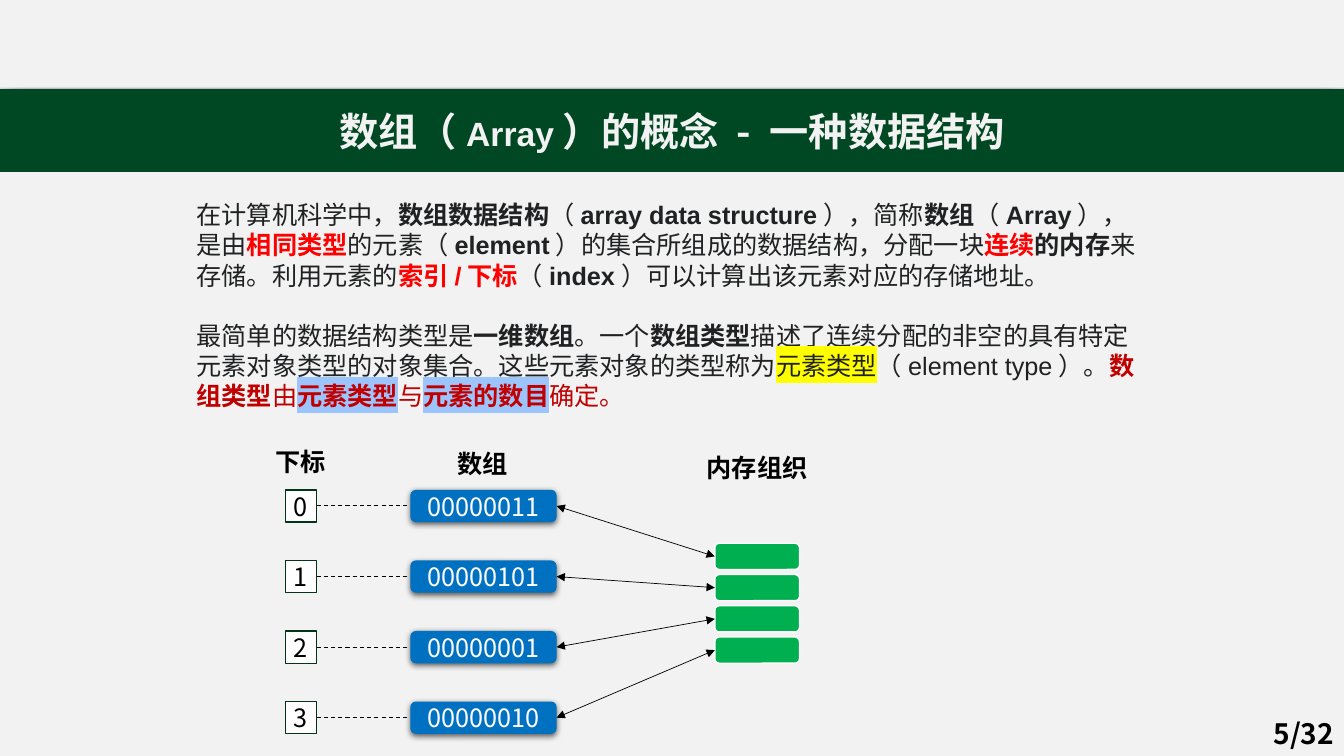
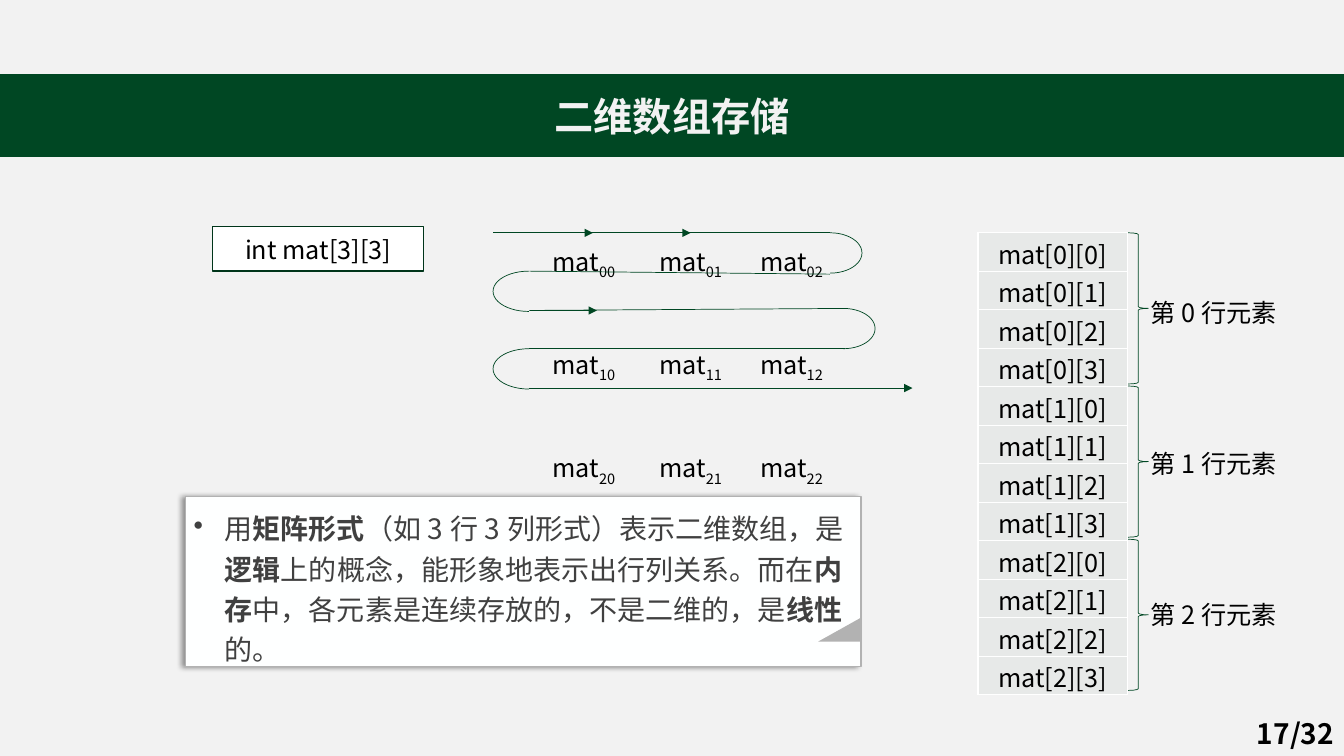
import dataclasses
import typing

import lxml.etree
import pptx
import pptx.dml.color
import pptx.enum.dml
import pptx.enum.shapes
import pptx.enum.text
import pptx.oxml.ns
import pptx.util

Inches = pptx.util.Inches
Pt = pptx.util.Pt
qn = pptx.oxml.ns.qn
Kind = pptx.enum.shapes.MSO_SHAPE
Align = pptx.enum.text.PP_ALIGN
Anchor = pptx.enum.text.MSO_ANCHOR


@dataclasses.dataclass(frozen=True)
class Theme:
    cjk: str = "Noto Sans CJK SC"
    latin: str = "Arial"
    paper: str = "F2F2F2"
    white: str = "FFFFFF"
    black: str = "000000"
    green: str = "004723"
    outline: str = "00351A"
    body: str = "202122"
    red: str = "FF0000"
    crimson: str = "C00000"
    yellow: str = "FFFF00"
    sky: str = "9CC5FD"
    blue: str = "0070C0"
    memory: str = "00B050"
    note: str = "FEFFFF"
    note_text: str = "404040"
    grey: str = "B2B2B2"
    cell: str = "E7E9E8"
    title_size: float = 28
    title_latin_size: float = 24
    large_size: float = 20
    text_size: float = 18


THEME = Theme()
BOLD = {"bold": True}
KEY = {"bold": True, "colour": THEME.red}
CLAIM = {"colour": THEME.crimson}
STRONG_CLAIM = {"bold": True, "colour": THEME.crimson}
MARKED_CLAIM = {"bold": True, "colour": THEME.crimson, "highlight": THEME.sky}


def rgb(value):
    return pptx.dml.color.RGBColor.from_string(value)


def apply(target, values):
    for name, value in values.items():
        setattr(target, name, value)


def equal_margins(value):
    return dict.fromkeys(("margin_left", "margin_top", "margin_right", "margin_bottom"), Inches(value))


def add_xml(parent, tag, **attributes):
    return lxml.etree.SubElement(parent, qn(tag), {k: str(v) for k, v in attributes.items()})


@dataclasses.dataclass
class Deck:
    presentation: typing.Any
    theme: Theme = THEME
    slide: typing.Any = None

    def setup(self):
        apply(self.presentation, {"slide_width": Inches(13.33), "slide_height": Inches(7.5)})
        fill = self.presentation.slide_master.background.fill
        fill.solid()
        fill.fore_color.rgb = rgb(self.theme.paper)

    def add_slide(self, title, top, page):
        theme = self.theme
        self.slide = self.presentation.slides.add_slide(self.presentation.slide_layouts[5])
        shape = self.slide.shapes.title
        apply(shape, {"left": 0, "top": Inches(top), "width": Inches(13.33), "height": Inches(0.81)})
        self.paint(shape, theme.green, theme.green, 1)
        self.fill_text(shape.text_frame, [title],
                       {"size": theme.title_size, "colour": theme.paper, "bold": True},
                       {"alignment": Align.CENTER}, {"vertical_anchor": Anchor.MIDDLE})
        self.text((10.33, 7.07, 3, 0.4), [[page]], {"bold": True, "size": theme.large_size},
                  {"alignment": Align.RIGHT}, {"vertical_anchor": Anchor.MIDDLE})

    def paint(self, shape, fill=None, line=None, width=1, shadow=None):
        if fill:
            shape.fill.solid()
            shape.fill.fore_color.rgb = rgb(fill)
        else:
            shape.fill.background()
        if line:
            shape.line.color.rgb = rgb(line)
            shape.line.width = Pt(width)
        else:
            shape.line.fill.background()
        shape.shadow.inherit = False
        if shadow:
            opacity, blur, distance, angle = shadow
            effects = shape.element.spPr.find(qn("a:effectLst"))
            outer = add_xml(effects, "a:outerShdw", blurRad=Pt(blur), dist=Pt(distance),
                            dir=angle * 60000, rotWithShape=0)
            colour = add_xml(outer, "a:srgbClr", val=self.theme.black)
            add_xml(colour, "a:alpha", val=opacity * 1000)

    def fill_text(self, frame, paragraphs, style=None, layout=None, box=None, tabs=(), bullet=None):
        apply(frame, {"word_wrap": True, "auto_size": pptx.enum.text.MSO_AUTO_SIZE.NONE, **(box or {})})
        for number, runs in enumerate(paragraphs):
            paragraph = frame.add_paragraph() if number else frame.paragraphs[0]
            properties = paragraph._p.get_or_add_pPr()
            if bullet:
                character, indent = bullet
                properties.set("marL", str(Inches(indent)))
                properties.set("indent", str(-Inches(indent)))
                add_xml(properties, "a:buChar", char=character)
            if tabs:
                tab_list = add_xml(properties, "a:tabLst")
                for tab in tabs:
                    add_xml(tab_list, "a:tab", pos=Inches(tab), algn="l")
            for name, value in (layout or {}).items():
                if number or name != "space_before":
                    setattr(paragraph, name, value)
            for item in runs:
                words, extra = (item, {}) if isinstance(item, str) else item
                self.add_run(paragraph, words, {**(style or {}), **extra})

    def add_run(self, paragraph, words, style):
        theme = self.theme
        run = paragraph.add_run()
        run.text = words
        run.font.color.rgb = rgb(style.get("colour", theme.black))
        apply(run.font, {"size": Pt(style.get("size", theme.text_size)), "bold": style.get("bold", False),
                         "name": style.get("font", theme.cjk)})
        properties = run._r.get_or_add_rPr()
        latin = properties.find(qn("a:latin"))
        latin.addnext(add_xml(properties, "a:ea", typeface=theme.cjk))
        if "highlight" in style:
            highlight = add_xml(properties, "a:highlight")
            add_xml(highlight, "a:srgbClr", val=style["highlight"])
            latin.addprevious(highlight)
        if "baseline" in style:
            properties.set("baseline", str(style["baseline"]))

    def text(self, place, paragraphs, style=None, layout=None, box=None, tabs=()):
        shape = self.slide.shapes.add_textbox(*map(Inches, place))
        self.fill_text(shape.text_frame, paragraphs, style, layout, box, tabs)

    def shape(self, kind, place, fill=None, line=None, width=1, shadow=None, turn=0):
        shape = self.slide.shapes.add_shape(kind, *map(Inches, place))
        self.paint(shape, fill, line, width, shadow)
        shape.rotation = turn
        return shape

    def box(self, words, kind, place, colour, **look):
        shape = self.shape(kind, place, **look)
        self.fill_text(shape.text_frame, [[words]], {"colour": colour}, {"alignment": Align.CENTER},
                       {"vertical_anchor": Anchor.MIDDLE, **equal_margins(0)})
        return shape

    def line(self, start, end, colour, width=0.5, dash=None, ends=()):
        connector = self.slide.shapes.add_connector(
            pptx.enum.shapes.MSO_CONNECTOR.STRAIGHT, *map(Inches, (*start, *end)))
        connector.line.color.rgb = rgb(colour)
        apply(connector.line, {"width": Pt(width), "dash_style": dash})
        properties = connector.element.spPr
        for end_tag in ends:
            add_xml(properties.find(qn("a:ln")), end_tag, type="triangle")
        add_xml(properties, "a:effectLst")
        return connector

    def link(self, left_shape, right_shape, **look):
        connector = self.line((0, 0), (1, 1), self.theme.black, **look)
        connector.begin_connect(left_shape, 3)
        connector.end_connect(right_shape, 1)

    def half_turn(self, place, side):
        arc = self.shape(Kind.ARC, place, line=self.theme.green, width=0.5)
        angles = (162, 54) if side == "right" else (54, 162)
        for index, angle in enumerate(angles):
            arc.adjustments[index] = angle

    def table(self, place, rows):
        table = self.slide.shapes.add_table(len(rows), 1, *map(Inches, place)).table
        apply(table, {"first_row": False, "horz_banding": False})
        for index, words in enumerate(rows):
            cell = table.cell(index, 0)
            properties = cell._tc.get_or_add_tcPr()
            for tag in ("a:lnL", "a:lnR", "a:lnT", "a:lnB"):
                border = add_xml(properties, tag, w=Pt(1))
                add_xml(add_xml(border, "a:solidFill"), "a:srgbClr", val=self.theme.white)
            cell.fill.solid()
            cell.fill.fore_color.rgb = rgb(self.theme.cell)
            apply(cell, {"margin_top": Inches(0.02), "margin_bottom": 0, "vertical_anchor": Anchor.MIDDLE})
            self.fill_text(cell.text_frame, [[words]], layout={"alignment": Align.CENTER})


def array_concept(deck):
    theme = deck.theme
    title = ["数组（", ("Array", {"font": theme.latin, "size": theme.title_latin_size}), "）的概念 - 一种数据结构"]
    deck.add_slide(title, 0.89, "5/32")
    strip = deck.shape(Kind.RECTANGLE, (0, 0, 13.33, 0.87), theme.paper, shadow=(29, 18, 4, 90))
    deck.slide.shapes.title.element.addprevious(strip.element)
    definition = [
        "在计算机科学中，", ("数组数据结构", BOLD), "（", ("array data structure", BOLD), "），简称",
        ("数组", BOLD), "（", ("Array", BOLD), "），是由", ("相同类型", KEY), "的元素（", ("element", BOLD),
        "）的集合所组成的数据结构，分配一块", ("连续", KEY), ("的内存", BOLD), "来存储。利用元素的",
        ("索引/下标", KEY), "（", ("index", BOLD), "）可以计算出该元素对应的存储地址。"]
    element_type = [
        "最简单的数据结构类型是", ("一维数组", BOLD), "。一个", ("数组类型", BOLD),
        "描述了连续分配的非空的具有特定元素对象类型的对象集合。这些元素对象的类型称为",
        ("元素类型", {"highlight": theme.yellow}), "（element type）。", ("数组类型", STRONG_CLAIM), ("由", CLAIM),
        ("元素类型", MARKED_CLAIM), ("与", CLAIM), ("元素的数目", MARKED_CLAIM), ("确定。", CLAIM)]
    deck.text((1.85, 1.93, 9.64, 2.22), [definition, element_type],
              {"font": theme.latin, "colour": theme.body}, {"space_before": Pt(21.5)})
    for words, left, top, width in (("下标", 2.63, 4.38, 0.71), ("数组", 4.44, 4.4, 0.71),
                                    ("内存组织", 6.91, 4.44, 1.21)):
        deck.text((left, top, width, 0.4), [[words]], BOLD, box={"word_wrap": False})
    for row, bits in enumerate(("00000011", "00000101", "00000001", "00000010")):
        top = 4.86 + 0.7 * row
        index = deck.box(str(row), Kind.RECTANGLE, (2.83, top, 0.31, 0.32), theme.black,
                         fill=theme.white, line=theme.outline)
        value = deck.box(bits, Kind.ROUNDED_RECTANGLE, (4.07, top, 1.45, 0.32), theme.white,
                         fill=theme.blue, shadow=(63, 4.5, 1.5, 90))
        memory = deck.shape(Kind.ROUNDED_RECTANGLE, (7.09, 5.39 + 0.31 * row, 0.84, 0.26),
                            theme.memory, theme.white)
        deck.link(index, value, width=0.75, dash=pptx.enum.dml.MSO_LINE.DASH)
        deck.link(value, memory, ends=("a:headEnd", "a:tailEnd"))


def matrix_storage(deck):
    theme = deck.theme
    deck.add_slide(["二维数组存储"], 0.74, "17/32")
    deck.box("int mat[3][3]", Kind.RECTANGLE, (2.11, 2.25, 2.09, 0.44), theme.black,
             fill=theme.white, line=theme.outline)
    matrix = []
    for row in range(3):
        runs = []
        for column in range(3):
            runs += ["\tmat" if column else "mat", (f"{row}{column}", {"baseline": -25000})]
        matrix.append(runs)
    deck.text((5.38, 2.22, 4.02, 2.02), matrix, layout={"line_spacing": 1.5, "space_before": Pt(37)},
              tabs=(1.06, 2.06))
    arrow = ("a:tailEnd",)
    for start, end, ends in (
            ((4.89, 2.31), (5.88, 2.31), arrow), ((5.82, 2.31), (6.85, 2.31), arrow),
            ((6.45, 2.31), (8.23, 2.31), ()), ((5.25, 2.69), (8.23, 2.72), ()),
            ((5.25, 3.08), (8.38, 3.06), ()), ((5.29, 3.08), (5.92, 3.08), arrow),
            ((5.25, 3.46), (8.38, 3.46), ()), ((5.25, 3.85), (9.05, 3.85), arrow)):
        deck.line(start, end, theme.green, ends=ends)
    for left, top, width, side in ((7.92, 2.31, 0.63, "right"), (4.89, 2.69, 0.71, "left"),
                                   (8.05, 3.06, 0.63, "right"), (4.89, 3.46, 0.71, "left")):
        deck.half_turn((left, top, width, 0.4), side)
    note = deck.shape(Kind.RECTANGLE, (1.84, 4.93, 6.7, 1.68), theme.note, theme.grey, 0.75, (40, 4, 3, 180))
    explanation = [
        "用", ("矩阵形式", BOLD), "（如3行3列形式）表示二维数组，是", ("逻辑", BOLD),
        "上的概念，能形象地表示出行列关系。而在", ("内存", BOLD), "中，各元素是连续存放的，不是二维的，是",
        ("线性", BOLD), "的。"]
    deck.fill_text(note.text_frame, [explanation], {"size": theme.large_size, "colour": theme.note_text},
                   {"alignment": Align.LEFT, "line_spacing": 1.2, "space_after": Pt(6)},
                   {"vertical_anchor": Anchor.TOP, **equal_margins(0.08)}, bullet=("•", 0.31))
    deck.shape(Kind.RIGHT_TRIANGLE, (8.21, 6.03, 0.24, 0.43), theme.grey, turn=270)
    deck.table((9.7, 2.31, 1.48, 4.54), [f"mat[{row}][{column}]" for row in range(3) for column in range(4)])
    for row in range(3):
        deck.shape(Kind.RIGHT_BRACE, (11.19, 2.31 + 1.52 * row, 0.2, 1.5), line=theme.green, width=0.5)
        deck.text((11.31, 2.9 + 1.5 * row, 1.9, 0.4), [[f"第{row}行元素"]])


def main():
    deck = Deck(pptx.Presentation())
    deck.setup()
    array_concept(deck)
    matrix_storage(deck)
    deck.presentation.save("out.pptx")


if __name__ == "__main__":
    main()
